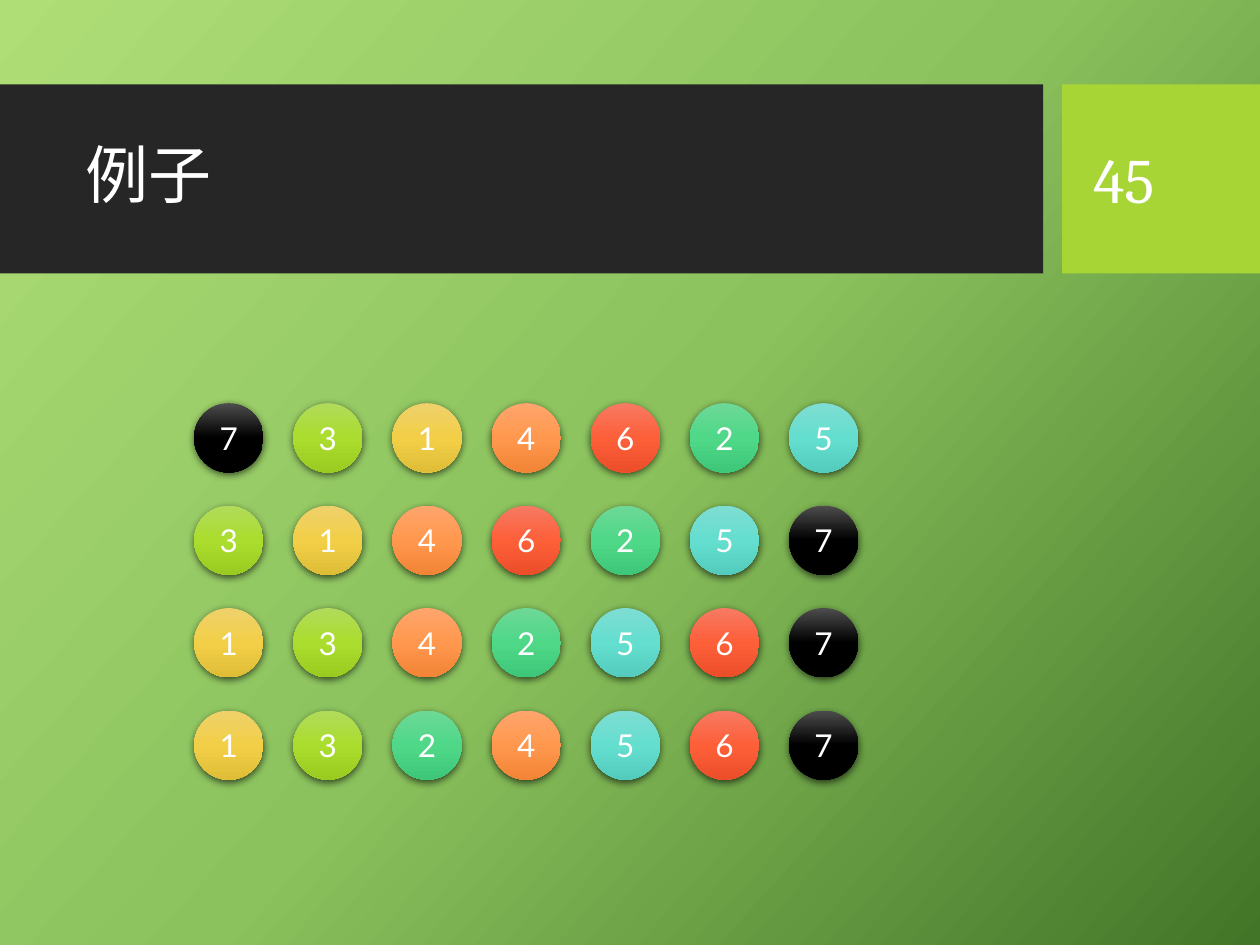
from lxml.etree import SubElement
from pptx import Presentation
from pptx.dml.color import RGBColor
from pptx.enum.shapes import MSO_SHAPE
from pptx.enum.text import MSO_ANCHOR, MSO_AUTO_SIZE, PP_ALIGN
from pptx.oxml.ns import qn
from pptx.util import Inches, Pt

TITLE = "例子"
PAGE = "45"
ROWS = ["7314625", "3146257", "1342567", "1324567"]
BALL_COLORS = {
    "1": ("EED16B", "F2CF47", "E0BD37"),
    "2": ("6ED897", "4ED888", "3EC778"),
    "3": ("B1DB5B", "AADD2D", "9ACB21"),
    "4": ("FFA56D", "FF984E", "F28435"),
    "5": ("7EDDD2", "64DECF", "53CBBD"),
    "6": ("F77A63", "FD5F39", "EB4E29"),
    "7": ("4D4D4D", "000000", "000000"),
}
BACKGROUND = ("AFDE77", "8BC25D", "437528")
BARS = [(0, 8.28, "262626"), (8.43, 1.57, "A7D535")]
BAR_TOP, BAR_HEIGHT = 0.67, 1.5
LEFT, TOP, SIZE = 1.54, 3.2, 0.55
COLUMN_STEP, ROW_STEP = 0.787, 0.813


def color(hex_value):
    return RGBColor.from_string(hex_value)


def set_gradient(fill, parent, colors, angle):
    """Fill with evenly spaced stops; angle is clockwise in degrees."""
    fill.gradient()
    grad = parent.find(".//" + qn("a:gradFill"))
    stops = grad.find(qn("a:gsLst"))
    for stop in list(stops):
        stops.remove(stop)
    for i, value in enumerate(colors):
        stop = SubElement(stops, qn("a:gs"), pos=str(i * 100000 // (len(colors) - 1)))
        SubElement(stop, qn("a:srgbClr"), val=value)
    lin = grad.find(qn("a:lin"))
    lin.set("ang", str(angle * 60000))
    lin.set("scaled", "0")


def add_drop_shadow(sp):
    sp.shadow.inherit = False
    effects = sp._element.spPr.find(qn("a:effectLst"))
    shadow = SubElement(effects, qn("a:outerShdw"), blurRad=str(Pt(4.5)),
                        dist=str(Pt(1.5)), dir="5400000", algn="ctr", rotWithShape="0")
    black = SubElement(shadow, qn("a:srgbClr"), val="000000")
    SubElement(black, qn("a:alpha"), val="63000")


def write(sp, text, size, font, align):
    tf = sp.text_frame
    tf.word_wrap = True
    tf.auto_size = MSO_AUTO_SIZE.NONE
    tf.vertical_anchor = MSO_ANCHOR.MIDDLE
    p = tf.paragraphs[0]
    p.alignment = align
    r = p.add_run()
    r.text = text
    r.font.size = Pt(size)
    r.font.name = font
    r.font.color.rgb = color("FFFFFF")
    return p


prs = Presentation()
prs.slide_width, prs.slide_height = Inches(10), Inches(7.5)
s = prs.slides.add_slide(prs.slide_layouts[5])
set_gradient(s.background.fill, s._element, BACKGROUND, 42)

title = s.shapes.title
title.left, title.top = Inches(0.58), Inches(0.82)
title.width, title.height = Inches(7.54), Inches(1.18)
write(title, TITLE, 36, "Cambria", PP_ALIGN.LEFT).line_spacing = 0.9

for left, width, fill in BARS:
    bar = s.shapes.add_shape(MSO_SHAPE.RECTANGLE, Inches(left), Inches(BAR_TOP),
                             Inches(width), Inches(BAR_HEIGHT))
    bar.shadow.inherit = False
    bar.fill.solid()
    bar.fill.fore_color.rgb = color(fill)
    bar.line.fill.background()
    title._element.addprevious(bar._element)  # bars lie behind the title

page = s.shapes.add_textbox(Inches(8.58), Inches(0.82), Inches(1.27), Inches(1.19))
write(page, PAGE, 36, "Cambria", PP_ALIGN.LEFT)

for row, digits in enumerate(ROWS):
    for col, digit in enumerate(digits):
        ball = s.shapes.add_shape(
            MSO_SHAPE.OVAL, Inches(LEFT + col * COLUMN_STEP),
            Inches(TOP + row * ROW_STEP), Inches(SIZE), Inches(SIZE))
        set_gradient(ball.fill, ball._element, BALL_COLORS[digit], 90)
        ball.line.fill.background()
        add_drop_shadow(ball)
        write(ball, digit, 18, "Lato", PP_ALIGN.CENTER)

prs.save("out.pptx")
